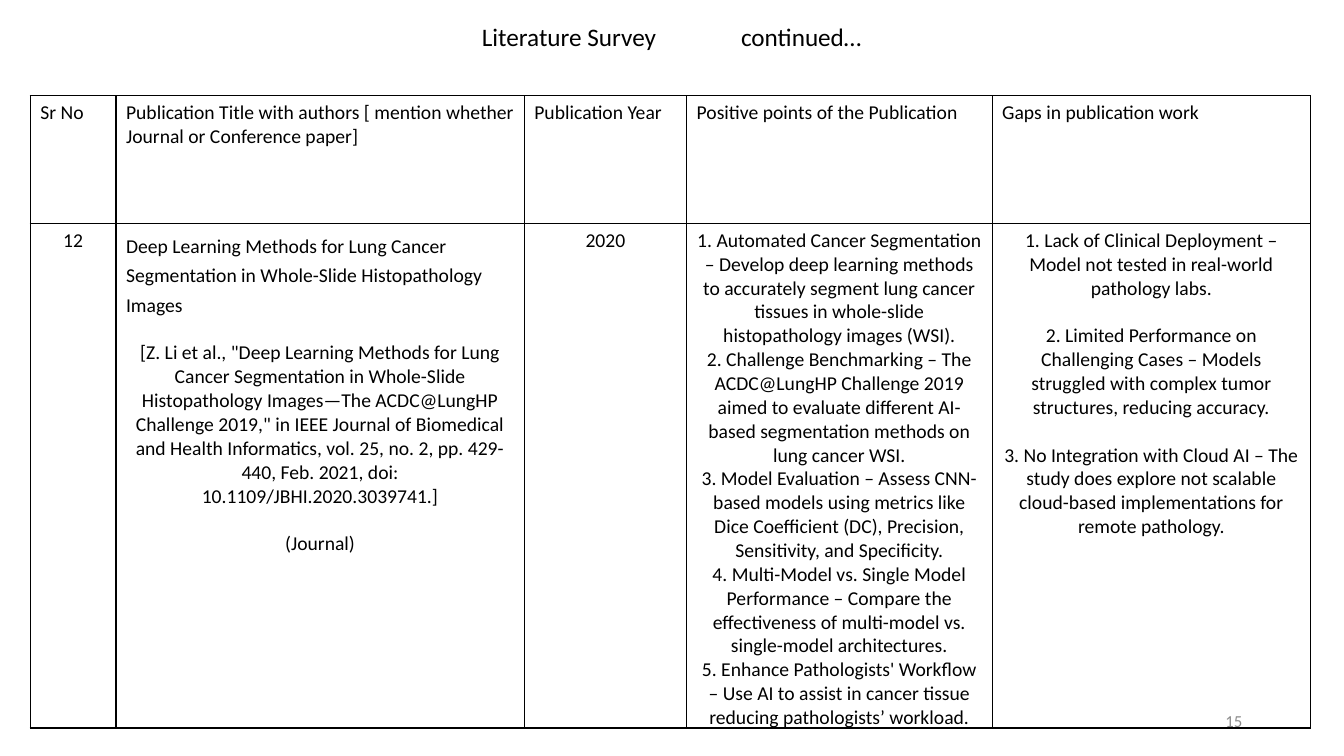
from lxml.etree import SubElement as Sub
from pptx import Presentation
from pptx.dml.color import RGBColor as Rgb
from pptx.enum.text import MSO_ANCHOR as Anchor, PP_ALIGN as Align
from pptx.oxml.ns import qn
from pptx.util import Inches, Pt

HUES = {"ink": "000000", "gray": "8C8C8C"}
TITLE = "Literature Survey\tcontinued…"
PAGE = "15"
HEADS = [
    "Sr No",
    "Publication Title with authors [ mention whether Journal or Conference paper]",
    "Publication Year",
    "Positive points of the Publication",
    "Gaps in publication work",
]
PAPER = [
    "Deep Learning Methods for Lung Cancer Segmentation in Whole-Slide Histopathology Images",
    "[Z. Li et al., \"Deep Learning Methods for Lung Cancer Segmentation in Whole-Slide "
    "Histopathology Images—The ACDC@LungHP Challenge 2019,\" in IEEE Journal of Biomedical "
    "and Health Informatics, vol. 25, no. 2, pp. 429-440, Feb. 2021, "
    "doi: 10.1109/JBHI.2020.3039741.]",
    "(Journal)",
]
GOOD = [
    "1. Automated Cancer Segmentation – Develop deep learning methods to accurately segment "
    "lung cancer tissues in whole-slide histopathology images (WSI).",
    "2. Challenge Benchmarking – The ACDC@LungHP Challenge 2019 aimed to evaluate different "
    "AI-based segmentation methods on lung cancer WSI.",
    "3. Model Evaluation – Assess CNN-based models using metrics like Dice Coefficient (DC), "
    "Precision, Sensitivity, and Specificity.",
    "4. Multi-Model vs. Single Model Performance – Compare the effectiveness of multi-model "
    "vs. single-model architectures.",
    "5. Enhance Pathologists' Workflow – Use AI to assist in cancer tissue reducing "
    "pathologists’ workload.",
]
GAPS = [
    "1. Lack of Clinical Deployment – Model not tested in real-world pathology labs.",
    "2. Limited Performance on Challenging Cases – Models struggled with complex tumor "
    "structures, reducing accuracy.",
    "3. No Integration with Cloud AI – The study does explore not scalable cloud-based "
    "implementations for remote pathology.",
]
BODY = [(["12"], 0), (PAPER, 17), (["2020"], 0), (GOOD, 0), (GAPS, 17)]
COLS = [0.85, 4.05, 1.61, 3.03, 3.16]
ROWS = [1.27, 4.84]


def assign(item, looks):
    for key, val in looks.items():
        setattr(item, key, val)


def write(frame, lines, size=14, hue="ink", align=Align.LEFT, gap=0):
    frame.word_wrap = True
    for i, line in enumerate(lines):
        para = frame.paragraphs[0] if i == 0 else frame.add_paragraph()
        para.alignment = align
        if i and gap:
            para.space_before = Pt(gap)
        run = para.add_run()
        run.text = line
        assign(run.font, {"name": "Calibri", "size": Pt(size), "bold": False})
        run.font.color.rgb = Rgb.from_string(HUES[hue])


def border(cell):
    props = cell._tc.get_or_add_tcPr()
    for side in ("lnL", "lnR", "lnT", "lnB"):
        line = Sub(props, qn("a:" + side), w=str(Pt(1)))
        fill = Sub(line, qn("a:solidFill"))
        Sub(fill, qn("a:srgbClr"), val=HUES["ink"])
    cell.fill.background()


def add_box(slide, *spot):
    return slide.shapes.add_textbox(*map(Inches, spot)).text_frame


def add_grid(slide):
    spot = map(Inches, (0.3, 0.95, sum(COLS), sum(ROWS)))
    grid = slide.shapes.add_table(len(ROWS), len(COLS), *spot).table
    assign(grid, {"first_row": False, "horz_banding": False})
    for row, high in zip(grid.rows, ROWS):
        row.height = Inches(high)
    for i, wide in enumerate(COLS):
        grid.columns[i].width = Inches(wide)
        head, cell = grid.cell(0, i), grid.cell(1, i)
        write(head.text_frame, [HEADS[i]])
        lines, gap = BODY[i]
        write(cell.text_frame, lines, align=Align.CENTER, gap=gap)
        border(head)
        border(cell)
    first = grid.cell(1, 1).text_frame.paragraphs[0]
    assign(first, {"alignment": Align.LEFT, "line_spacing": 1.24})


def add_title(slide):
    frame = add_box(slide, 2.23, 0.15, 8.87, 0.47)
    assign(frame, {"margin_left": Inches(2.55), "margin_top": Inches(0.1),
                   "margin_bottom": Inches(0.1)})
    para = frame.paragraphs[0]
    para.line_spacing = 0.9
    tabs = Sub(para._p.get_or_add_pPr(), qn("a:tabLst"))
    Sub(tabs, qn("a:tab"), pos=str(Inches(2.57)), algn="l")
    write(frame, [TITLE], size=18)


def main():
    deck = Presentation()
    assign(deck, {"slide_width": Inches(13.33), "slide_height": Inches(7.5)})
    slide = deck.slides.add_slide(deck.slide_layouts[6])
    page = add_box(slide, 9.42, 6.95, 3, 0.4)
    page.vertical_anchor = Anchor.MIDDLE
    write(page, [PAGE], size=12, hue="gray", align=Align.RIGHT)
    add_grid(slide)
    add_title(slide)
    deck.save("out.pptx")


if __name__ == "__main__":
    main()
